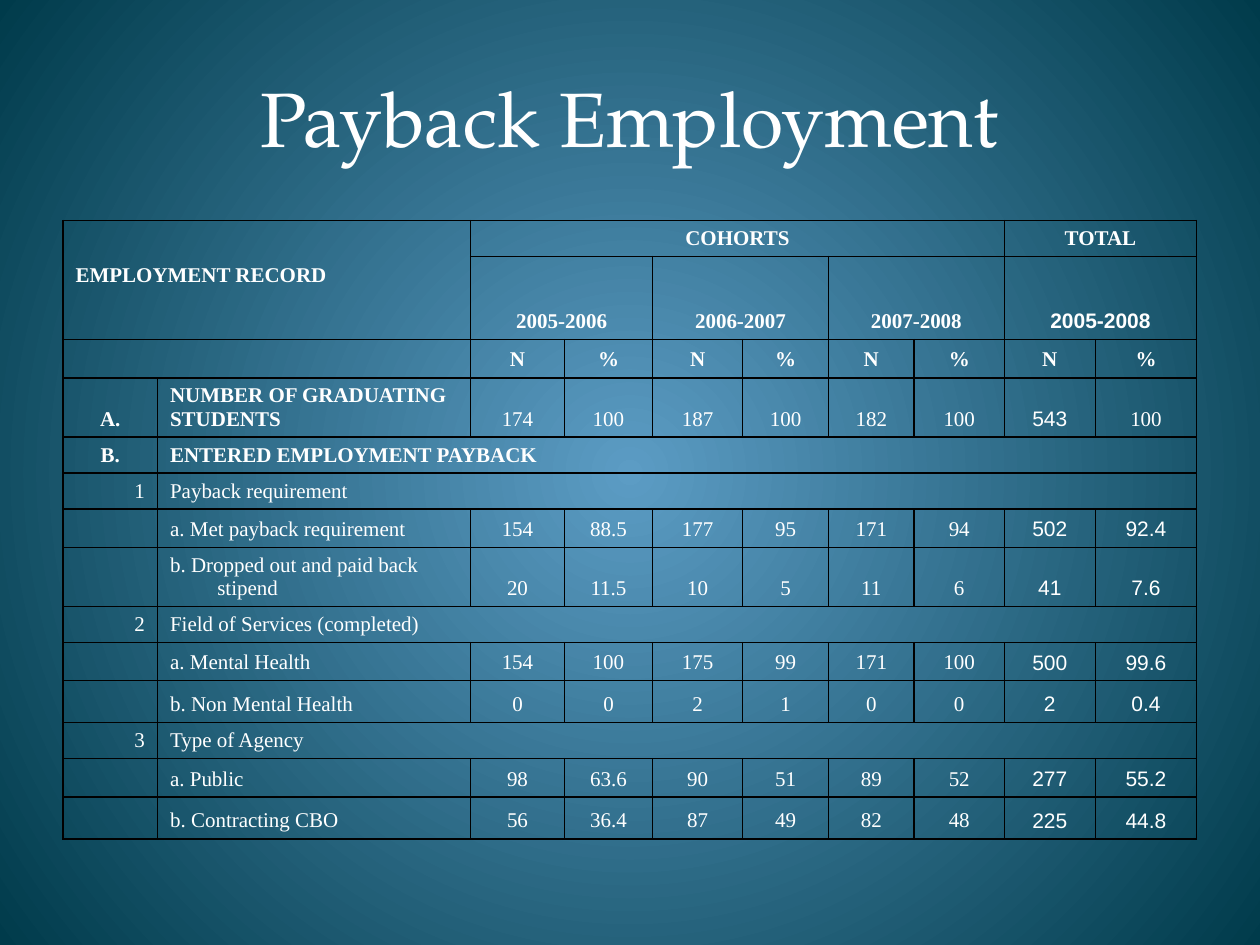
"""Build the Payback Employment slide with its cohort table."""
from pptx import Presentation
from pptx import util as u
from pptx.dml.color import RGBColor
from pptx.enum import text
from pptx.oxml import ns
from lxml import etree

WHITE = RGBColor(0xFF, 0xFF, 0xFF)
BLACK = RGBColor(0x00, 0x00, 0x00)
GLOW = RGBColor(0x5C, 0x9C, 0xC4)
DEEP = RGBColor(0x00, 0x3B, 0x4B)
SERIF, SANS, DISPLAY = "Times New Roman", "Arial", "TeX Gyre Pagella"
LEFT, CENTER, RIGHT = text.PP_ALIGN.LEFT, text.PP_ALIGN.CENTER, text.PP_ALIGN.RIGHT

COLUMNS = [54, 179, 53.5, 50.5, 51.5, 49, 49, 51.5, 52, 58]
ROWS = [20.5, 47.5, 20.5, 33.75, 20.5, 20.5, 21, 33.75, 20.5, 21.75, 24, 20.5, 20.5, 24]
HEADINGS = [
    (0, 0, 2, 2, "EMPLOYMENT RECORD"),
    (0, 2, 1, 6, "COHORTS"),
    (0, 8, 1, 2, "TOTAL"),
    (1, 2, 1, 2, "2005-2006"),
    (1, 4, 1, 2, "2006-2007"),
    (1, 6, 1, 2, "2007-2008"),
    (1, 8, 1, 2, "2005-2008"),
    (2, 0, 1, 2, ""),
]
RECORDS = [
    ("A.", "NUMBER OF GRADUATING\nSTUDENTS", "174 100 187 100 182 100 543 100"),
    ("B.", "ENTERED EMPLOYMENT PAYBACK", ""),
    ("1", "Payback requirement", ""),
    ("", "a. Met payback requirement", "154 88.5 177 95 171 94 502 92.4"),
    ("", "b. Dropped out and paid back stipend", "20 11.5 10 5 11 6 41 7.6"),
    ("2", "Field of Services (completed)", ""),
    ("", "a. Mental Health", "154 100 175 99 171 100 500 99.6"),
    ("", "b. Non Mental Health", "0 0 2 1 0 0 2 0.4"),
    ("3", "Type of Agency", ""),
    ("", "a. Public", "98 63.6 90 51 89 52 277 55.2"),
    ("", "b. Contracting CBO", "56 36.4 87 49 82 48 225 44.8"),
]


class SlideBuilder:
    """Hold the text style and the current slide."""

    def __init__(self, slide, size=12, indent=27):
        self.slide, self.size, self.indent = slide, size, indent

    def background(self, inner, outer):
        fill = self.slide.background.fill
        fill.gradient()
        for stop, color in zip(fill.gradient_stops, (inner, outer)):
            stop.color.rgb = color
        gradient = self.slide.element.find(".//" + ns.qn("a:gradFill"))
        gradient.remove(gradient.find(ns.qn("a:lin")))
        circle = etree.SubElement(gradient, ns.qn("a:path"), path="circle")
        sides = dict.fromkeys("ltrb", "50000")
        etree.SubElement(circle, ns.qn("a:fillToRect"), sides)

    def format(self, paragraph, align, **font):
        paragraph.alignment = align
        for run in paragraph.runs:
            run.font.color.rgb = WHITE
            for name, value in font.items():
                setattr(run.font, name, value)

    def title(self, words, left, top, width, height):
        title = self.slide.shapes.title
        box = {"left": left, "top": top, "width": width, "height": height}
        for name, value in box.items():
            setattr(title, name, u.Pt(value))
        title.text_frame.text = words
        title.text_frame.vertical_anchor = text.MSO_ANCHOR.MIDDLE
        self.format(title.text_frame.paragraphs[0], CENTER, name=DISPLAY, size=u.Pt(44))

    def table(self, left, top, columns, rows):
        box = map(u.Pt, (left, top, sum(columns), sum(rows)))
        table = self.slide.shapes.add_table(len(rows), len(columns), *box).table
        table.first_row = table.horz_banding = False
        for column, width in zip(table.columns, columns):
            column.width = u.Pt(width)
        for row, height in zip(table.rows, rows):
            row.height = u.Pt(height)
        for cell in table.iter_cells():
            self.border(cell)
            cell.fill.background()
            cell.vertical_anchor = text.MSO_ANCHOR.BOTTOM
            ending = cell.text_frame.paragraphs[0]._p.get_or_add_endParaRPr()
            ending.set("sz", str(self.size * 100))
        return table

    def border(self, cell):
        properties = cell._tc.get_or_add_tcPr()
        for side in "LRTB":
            line = etree.SubElement(properties, ns.qn(f"a:ln{side}"), w=str(u.Pt(1)))
            solid = etree.SubElement(line, ns.qn("a:solidFill"))
            etree.SubElement(solid, ns.qn("a:srgbClr"), val=str(BLACK))

    def cell(self, cell, words, align=CENTER, font=SERIF, bold=False):
        if not words:
            return
        cell.text_frame.text = words
        for paragraph in cell.text_frame.paragraphs:
            self.format(paragraph, align, name=font, size=u.Pt(self.size), bold=bold)
            properties = paragraph._p.get_or_add_pPr()
            properties.set("marL", str(u.Pt(self.indent)))
            properties.set("indent", str(u.Pt(-self.indent)))


def main():
    deck = Presentation()
    deck.slide_width, deck.slide_height = u.Pt(720), u.Pt(540)
    builder = SlideBuilder(deck.slides.add_slide(deck.slide_layouts[5]))
    builder.background(GLOW, DEEP)
    builder.title("Payback Employment", 36, 21.6, 648, 90)
    employment = builder.table(36, 126, COLUMNS, ROWS)

    for row, column, height, width, heading in HEADINGS:
        cell = employment.cell(row, column)
        cell.merge(employment.cell(row + height - 1, column + width - 1))
        align = CENTER if column else LEFT
        font = SANS if heading == "2005-2008" else SERIF
        builder.cell(cell, heading, align, font, bold=True)
    employment.cell(0, 0).margin_bottom = u.Pt(30)
    for column in range(2, len(COLUMNS)):
        builder.cell(employment.cell(2, column), "N%"[column % 2], bold=True)

    for row, (marker, label, figures) in enumerate(RECORDS, start=3):
        section = marker.endswith(".")
        builder.cell(employment.cell(row, 0), marker, CENTER if section else RIGHT, bold=section)
        builder.cell(employment.cell(row, 1), label, LEFT, bold=section)
        if not figures:
            employment.cell(row, 1).merge(employment.cell(row, len(COLUMNS) - 1))
        for column, figure in enumerate(figures.split(), start=2):
            total = column == 8 or (column == 9 and not section)
            builder.cell(employment.cell(row, column), figure, font=SANS if total else SERIF)
    deck.save("out.pptx")


if __name__ == "__main__":
    main()
